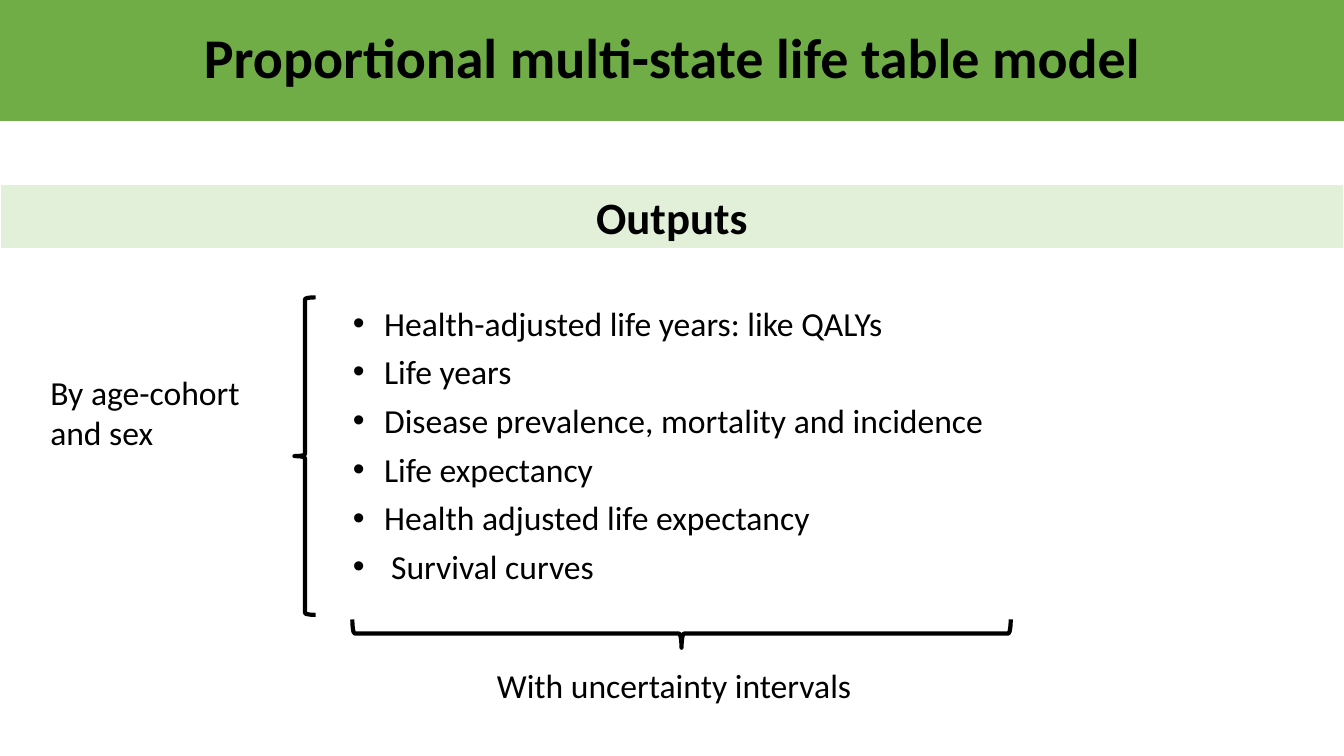
import pptx
import pptx.util
import pptx.dml.color
import pptx.enum.shapes
import pptx.enum.text
import lxml.etree
from pptx.util import Inches, Pt

TITLE = "Proportional multi-state life table model"
HEADING = "Outputs"
OUTPUTS = [
    ("Health-adjusted life years: like QALYs", 0.31),
    ("Life years", 0.31),
    ("Disease prevalence, mortality and incidence", 0.31),
    ("Life expectancy", 0.31),
    ("Health adjusted life expectancy", 0.31),
    ("Survival curves", 0.38),
]
LABELS = [
    ("By age-cohort and sex", (0.4, 3.57, 2.52, 1.03), 6, True),
    ("With uncertainty intervals", (4.83, 6.55, 3.87, 0.5), 0, False),
]
BRACES = [((2.92, 2.95, 0.21, 3.15), 0), ((6.62, 3.02, 0.28, 6.53), 270)]
COLORS = {"title": "70AD47", "heading": "E2F0D9", "ink": "000000", "paper": "FFFFFF"}
WIDTH, HEIGHT = 13.33, 7.5
ANCHOR = pptx.enum.text.MSO_ANCHOR
ALIGN = pptx.enum.text.PP_ALIGN
SHAPES = pptx.enum.shapes.MSO_SHAPE


def color(name):
    return pptx.dml.color.RGBColor.from_string(COLORS[name])


def place(shape, box):
    shape.left, shape.top, shape.width, shape.height = map(Inches, box)


def paint(shape, name):
    shape.fill.solid()
    shape.fill.fore_color.rgb = color(name)


def write(paragraph, text, size=24, bold=False, align=ALIGN.LEFT, before=0, after=0):
    paragraph.text = text
    paragraph.alignment = align
    paragraph.space_before, paragraph.space_after = Pt(before), Pt(after)
    font = paragraph.font
    font.name, font.size, font.bold = "Calibri", Pt(size), bold
    font.color.rgb = color("ink")


def add_bullet(paragraph, indent):
    properties = paragraph._p.get_or_add_pPr()
    properties.set("marL", str(Inches(indent)))
    properties.set("indent", str(-Inches(indent)))
    for tag, attribute, value in [("buFont", "typeface", "Arial"), ("buChar", "char", "•")]:
        element = lxml.etree.SubElement(properties, pptx.oxml.ns.qn("a:" + tag))
        element.set(attribute, value)
    default_font = properties.find(pptx.oxml.ns.qn("a:defRPr"))
    if default_font is not None:
        properties.append(default_font)


def add_title(slide):
    title = slide.shapes.title
    place(title, (0, 0, WIDTH, 1.2))
    paint(title, "title")
    title.text_frame.vertical_anchor = ANCHOR.MIDDLE
    paragraph = title.text_frame.paragraphs[0]
    write(paragraph, TITLE, 40, True, ALIGN.CENTER)
    paragraph.line_spacing = 0.9


def add_heading(slide):
    heading = slide.shapes.add_shape(SHAPES.RECTANGLE, 0, 0, 0, 0)
    place(heading, (0, 1.83, WIDTH, 0.64))
    heading.shadow.inherit = False
    paint(heading, "heading")
    heading.line.color.rgb = color("paper")
    heading.line.width = Pt(1)
    heading.text_frame.vertical_anchor = ANCHOR.TOP
    write(heading.text_frame.paragraphs[0], HEADING, 32, True, ALIGN.CENTER)


def add_outputs(slide):
    body = slide.placeholders[1]
    place(body, (3.4, 2.95, 6.52, 2.95))
    frame = body.text_frame
    frame.auto_size = pptx.enum.text.MSO_AUTO_SIZE.NONE
    frame.vertical_anchor = ANCHOR.TOP
    for index, (text, indent) in enumerate(OUTPUTS):
        paragraph = frame.add_paragraph() if index else frame.paragraphs[0]
        write(paragraph, text, before=6)
        add_bullet(paragraph, indent)


def add_label(slide, text, box, spacing, wrap):
    label = slide.shapes.add_textbox(*map(Inches, box))
    label.text_frame.word_wrap = wrap
    label.text_frame.vertical_anchor = ANCHOR.MIDDLE if wrap else ANCHOR.TOP
    write(label.text_frame.paragraphs[0], text, before=spacing, after=spacing)


def add_brace(slide, box, rotation):
    brace = slide.shapes.add_shape(SHAPES.LEFT_BRACE, *map(Inches, box))
    brace.rotation = rotation
    brace.shadow.inherit = False
    brace.fill.background()
    brace.line.color.rgb = color("ink")
    brace.line.width = Pt(3)


def main():
    presentation = pptx.Presentation()
    presentation.slide_width, presentation.slide_height = Inches(WIDTH), Inches(HEIGHT)
    slide = presentation.slides.add_slide(presentation.slide_layouts[1])
    add_title(slide)
    add_heading(slide)
    add_outputs(slide)
    for label in LABELS:
        add_label(slide, *label)
    for brace in BRACES:
        add_brace(slide, *brace)
    presentation.save("out.pptx")


if __name__ == "__main__":
    main()
